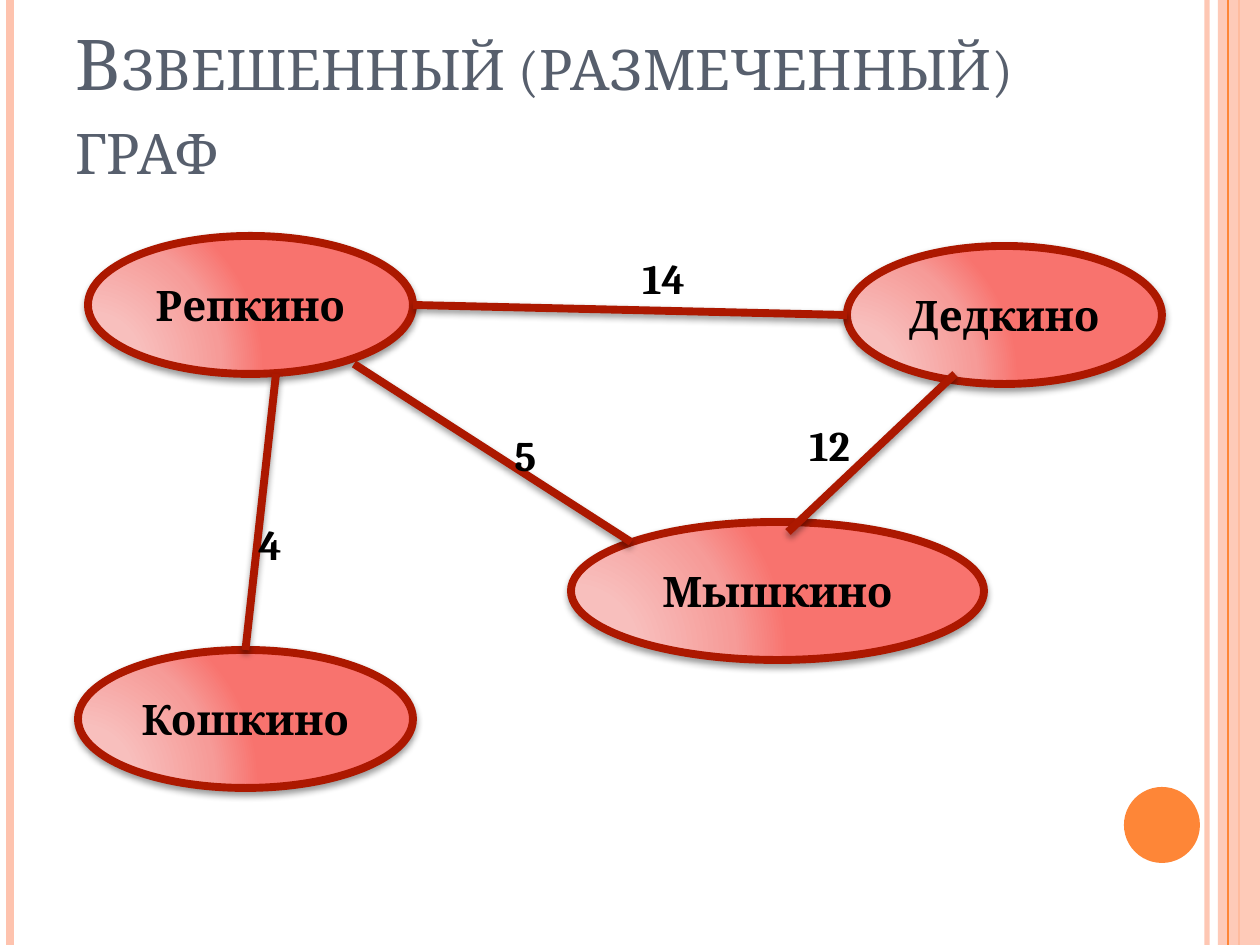
"""Build a slide with a weighted graph of four villages."""
from dataclasses import dataclass

from lxml.etree import SubElement
from pptx import Presentation
from pptx.dml.color import RGBColor
from pptx.enum.shapes import MSO_CONNECTOR as Connector, MSO_SHAPE as Shape
from pptx.enum.text import MSO_ANCHOR as Anchor, MSO_AUTO_SIZE as AutoSize, PP_ALIGN as Align
from pptx.oxml import parse_xml
from pptx.oxml.ns import nsdecls, qn
from pptx.util import Pt

PX = 914400 / 126
WIDTH, HEIGHT = 1260, 945
TOP, LEFT, RIGHT = 0, 1, 3
OVAL_SITES = {TOP: 0, LEFT: 2, RIGHT: 6}


@dataclass(frozen=True)
class Theme:
    font: str = "Cambria"
    title_size: int = 40
    text_size: int = 24
    edge_width: float = 4.5
    title: str = "575F6D"
    text: str = "000000"
    edge: str = "AC1800"
    accent: str = "FE8637"
    pale: str = "FEC3AE"
    node_stops: tuple = ((0, "F8C5C3"), (30, "F8BFBD"), (75, "F69B98"), (100, "F8736E"))


def emu(*lengths):
    return [round(length * PX) for length in lengths]


def set_alpha(properties, percent):
    color = next(properties.iter(qn("a:srgbClr")))
    SubElement(color, qn("a:alpha"), val=str(percent * 1000))


class GraphSlide:
    def __init__(self, deck, theme):
        self.theme = theme
        self.page = deck.slides.add_slide(deck.slide_layouts[5])
        self.shapes = self.page.shapes

    def add_text(self, frame, text, size, color, bold=False, align=Align.LEFT):
        para = frame.paragraphs[0]
        para.alignment = align
        span = para.add_run()
        span.text = text
        span.font.name = self.theme.font
        span.font.size = Pt(size)
        span.font.bold = bold
        span.font.color.rgb = RGBColor.from_string(color)
        return span

    def title(self, text, *place):
        box = self.shapes.title
        box.left, box.top, box.width, box.height = emu(*place)
        frame = box.text_frame
        frame.auto_size = AutoSize.NONE
        frame.vertical_anchor = Anchor.BOTTOM
        span = self.add_text(frame, text, self.theme.title_size, self.theme.title)
        span.font._element.set("cap", "small")

    def add_effects(self, item, shadow):
        effects = SubElement(item._element.spPr, qn("a:effectLst"))
        if shadow:
            effects.append(parse_xml(
                f'<a:outerShdw {nsdecls("a")} blurRad="50800" dist="25400" dir="5400000" '
                'rotWithShape="0"><a:srgbClr val="000000"><a:alpha val="40000"/>'
                '</a:srgbClr></a:outerShdw>'))

    def line(self, start, end, color, width, alpha=100, shadow=False):
        connector = self.shapes.add_connector(Connector.STRAIGHT, *emu(*start, *end))
        connector.line.color.rgb = RGBColor.from_string(color)
        connector.line.width = Pt(width)
        if alpha < 100:
            set_alpha(connector._element.spPr, alpha)
        self.add_effects(connector, shadow)
        return connector

    def edge(self, start, end, begin=None, finish=None):
        road = self.line(start, end, self.theme.edge, self.theme.edge_width, shadow=True)
        for joint, connect, tag in ((begin, road.begin_connect, "a:stCxn"),
                                    (finish, road.end_connect, "a:endCxn")):
            if joint:
                oval, side = joint
                connect(oval, side)
                next(road._element.iter(qn(tag))).set("idx", str(OVAL_SITES[side]))

    def decor(self, kind, place, color, alpha=100):
        shape = self.shapes.add_shape(kind, *emu(*place))
        shape.fill.solid()
        shape.fill.fore_color.rgb = RGBColor.from_string(color)
        if alpha < 100:
            set_alpha(shape._element.spPr, alpha)
        shape.line.fill.background()
        shape.shadow.inherit = False

    def node(self, text, *place):
        oval = self.shapes.add_shape(Shape.OVAL, *emu(*place))
        stops = "".join(f'<a:gs pos="{pos * 1000}"><a:srgbClr val="{color}"/></a:gs>'
                        for pos, color in self.theme.node_stops)
        oval._element.spPr.insert(2, parse_xml(
            f'<a:gradFill {nsdecls("a")} rotWithShape="1"><a:gsLst>{stops}</a:gsLst>'
            '<a:path path="circle"><a:fillToRect l="5000" t="100000" r="120000" b="10000"/>'
            '</a:path></a:gradFill>'))
        oval.line.color.rgb = RGBColor.from_string(self.theme.edge)
        oval.line.width = Pt(self.theme.edge_width)
        self.add_effects(oval, True)
        oval.text_frame.vertical_anchor = Anchor.MIDDLE
        self.add_text(oval.text_frame, text, self.theme.text_size, self.theme.text,
                      True, Align.CENTER)
        return oval

    def weight(self, text, *place):
        box = self.shapes.add_textbox(*emu(*place))
        box.text_frame.word_wrap = False
        box.text_frame.auto_size = AutoSize.SHAPE_TO_FIT_TEXT
        self.add_text(box.text_frame, text, self.theme.text_size, self.theme.text, True)


def main():
    deck = Presentation()
    deck.slide_width, deck.slide_height = emu(WIDTH, HEIGHT)
    theme = Theme()
    graph = GraphSlide(deck, theme)

    def stripe(x, color, width, alpha=100):
        graph.line((x, 0), (x, HEIGHT), color, width, alpha)

    stripe(1207, theme.pale, 3, 93)
    stripe(10, theme.pale, 4.5)
    stripe(1239, theme.accent, 1.5)
    graph.decor(Shape.RECTANGLE, (1218, 0, 42, HEIGHT), theme.pale, 87)
    stripe(1228, theme.accent, 0.75)
    graph.decor(Shape.OVAL, (1124, 787, 76, 76), theme.accent)

    graph.title("Взвешенный (размеченный) граф", 63, 38, 1029, 157)

    repkino = graph.node("Репкино", 88, 236, 325, 138)
    koshkino = graph.node("Кошкино", 78, 650, 335, 138)
    graph.node("Мышкино", 571, 522, 413, 138)
    dedkino = graph.node("Дедкино", 847, 246, 315, 138)

    graph.edge((413, 305), (847, 315), (repkino, RIGHT), (dedkino, LEFT))
    graph.edge((955, 374), (788, 532))
    graph.edge((631, 542), (354, 364))
    graph.edge((246, 650), (276, 374), (koshkino, TOP))

    for text, x, y, width in (("14", 630, 246, 68), ("5", 502, 423, 47),
                              ("12", 797, 413, 68), ("4", 246, 512, 47)):
        graph.weight(text, x, y, width, 63)

    deck.save("out.pptx")


if __name__ == "__main__":
    main()
